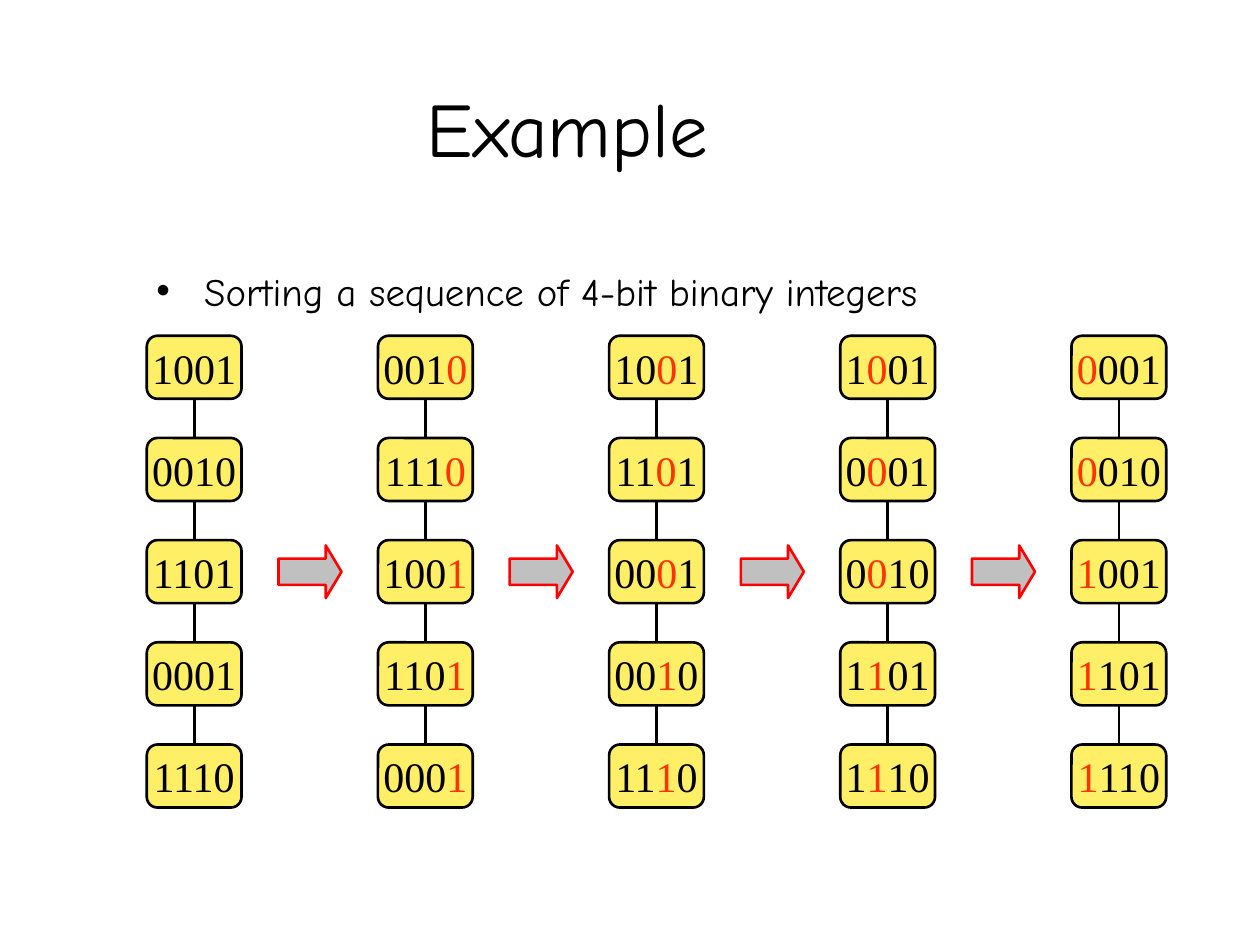
from dataclasses import dataclass

from lxml import etree
from pptx import Presentation
from pptx.dml.color import RGBColor
from pptx.enum.shapes import MSO_CONNECTOR, MSO_SHAPE
from pptx.enum.text import MSO_ANCHOR, MSO_AUTO_SIZE, PP_ALIGN
from pptx.oxml.ns import qn
from pptx.util import Cm, Pt

ROUNDED = MSO_SHAPE.ROUNDED_RECTANGLE
DOWN_ARROW = MSO_SHAPE.DOWN_ARROW
STRAIGHT = MSO_CONNECTOR.STRAIGHT
MIDDLE, BOTTOM, TOP = MSO_ANCHOR.MIDDLE, MSO_ANCHOR.BOTTOM, MSO_ANCHOR.TOP
LEFT, CENTER = PP_ALIGN.LEFT, PP_ALIGN.CENTER
NO_FIT = MSO_AUTO_SIZE.NONE

HEADING_FONT, NUMBER_FONT = "Comic Neue", "Times New Roman"
BLACK, YELLOW, GREY = "000000", "FFEF66", "C0C0C0"
RED, DIGIT_RED = "FF0000", "FF3300"

FIRST_X, FIRST_Y = 2.96, 6.77
STEP_X, STEP_Y = 4.66, 2.06
BOX_W, BOX_H = 1.91, 1.27
ARROW_W, ARROW_H = 1.06, 1.27
ARROW_OFFSET = 2.76
ARROW_ROW = 2


@dataclass
class Pass:
    numbers: list[str]
    digit: int | None = None


PASSES = [
    Pass(["1001", "0010", "1101", "0001", "1110"]),
    Pass(["0010", "1110", "1001", "1101", "0001"], 3),
    Pass(["1001", "1101", "0001", "0010", "1110"], 2),
    Pass(["1001", "0001", "0010", "1101", "1110"], 1),
    Pass(["0001", "0010", "1001", "1101", "1110"], 0),
]


def rgb(color: str) -> RGBColor:
    return RGBColor.from_string(color)


def write(p, text: str, *, font: str, size: float, color: str = BLACK, align=CENTER) -> None:
    p.alignment = align
    r = p.add_run()
    r.text = text
    r.font.name = font
    r.font.size = Pt(size)
    r.font.color.rgb = rgb(color)


def style(sp, fill: str, line: str) -> None:
    sp.shadow.inherit = False
    sp.fill.solid()
    sp.fill.fore_color.rgb = rgb(fill)
    sp.line.color.rgb = rgb(line)
    sp.line.width = Pt(1.5)


def place(sp, x: float, y: float, w: float, h: float, anchor):
    sp.left, sp.top, sp.width, sp.height = Cm(x), Cm(y), Cm(w), Cm(h)
    tf = sp.text_frame
    tf.auto_size = NO_FIT
    tf.vertical_anchor = anchor
    return tf.paragraphs[0]


def add_bullet(p, indent: float) -> None:
    pPr = p._p.get_or_add_pPr()
    pPr.set("marL", str(Cm(indent)))
    pPr.set("indent", str(-Cm(indent)))
    clr = etree.SubElement(pPr, qn("a:buClr"))
    etree.SubElement(clr, qn("a:srgbClr"), val=BLACK)
    etree.SubElement(pPr, qn("a:buChar"), char="•")


def add_box(shapes, x: float, y: float, number: str, digit: int | None):
    sp = shapes.add_shape(ROUNDED, Cm(x), Cm(y), Cm(BOX_W), Cm(BOX_H))
    sp.adjustments[0] = 0.17
    style(sp, YELLOW, BLACK)
    tf = sp.text_frame
    tf.word_wrap = False
    tf.vertical_anchor = MIDDLE
    tf.margin_left = tf.margin_right = 0
    if digit is None:
        parts = [(number, BLACK)]
    else:
        parts = [
            (number[:digit], BLACK),
            (number[digit], DIGIT_RED),
            (number[digit + 1:], BLACK),
        ]
    for text, color in parts:
        if text:
            write(tf.paragraphs[0], text, font=NUMBER_FONT, size=24, color=color)
    return sp


def add_column(slide, x: float, step: Pass) -> None:
    shapes = slide.shapes.add_group_shape().shapes
    mid = Cm(x + BOX_W / 2)
    last_y = FIRST_Y + STEP_Y * (len(step.numbers) - 1)
    link = shapes.add_connector(STRAIGHT, mid, Cm(FIRST_Y + BOX_H), mid, Cm(last_y))
    link.line.color.rgb = rgb(BLACK)
    link.line.width = Pt(1.5)
    etree.SubElement(link._element.spPr, qn("a:effectLst"))
    boxes = [
        add_box(shapes, x, FIRST_Y + row * STEP_Y, number, step.digit)
        for row, number in enumerate(step.numbers)
    ]
    link.begin_connect(boxes[0], 2)
    link.end_connect(boxes[-1], 0)


def add_arrow(slide, x: float, y: float) -> None:
    sp = slide.shapes.add_shape(DOWN_ARROW, Cm(x), Cm(y), Cm(ARROW_W), Cm(ARROW_H))
    sp.rotation = 270
    sp.adjustments[0] = 0.5
    sp.adjustments[1] = 0.3
    style(sp, GREY, RED)


def main() -> None:
    prs = Presentation()
    prs.slide_width, prs.slide_height = Cm(25.4), Cm(19.05)
    slide = prs.slides.add_slide(prs.slide_layouts[1])

    p = place(slide.shapes.title, 1.9, 0.43, 19.08, 3.18, BOTTOM)
    write(p, "Example", font=HEADING_FONT, size=44)

    p = place(slide.placeholders[1], 2.9, 5.26, 20.19, 1.19, TOP)
    add_bullet(p, 0.96)
    p.space_before = Pt(0)
    write(p, "Sorting a sequence of 4-bit binary integers",
          font=HEADING_FONT, size=22.2, align=LEFT)

    for col, step in enumerate(PASSES):
        add_column(slide, FIRST_X + col * STEP_X, step)
    for col in range(len(PASSES) - 1):
        add_arrow(slide, FIRST_X + col * STEP_X + ARROW_OFFSET, FIRST_Y + ARROW_ROW * STEP_Y)

    prs.save("out.pptx")


if __name__ == "__main__":
    main()
